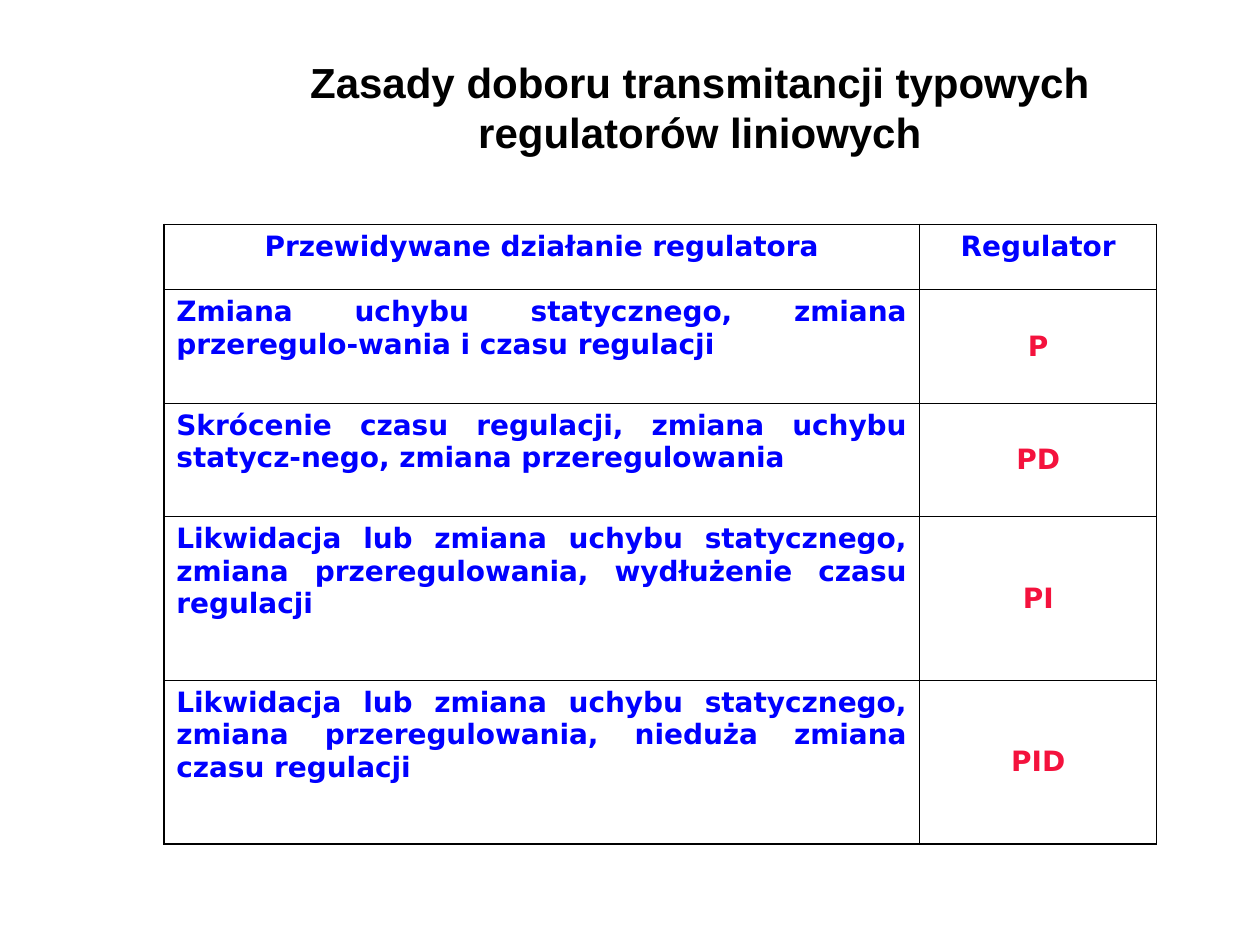
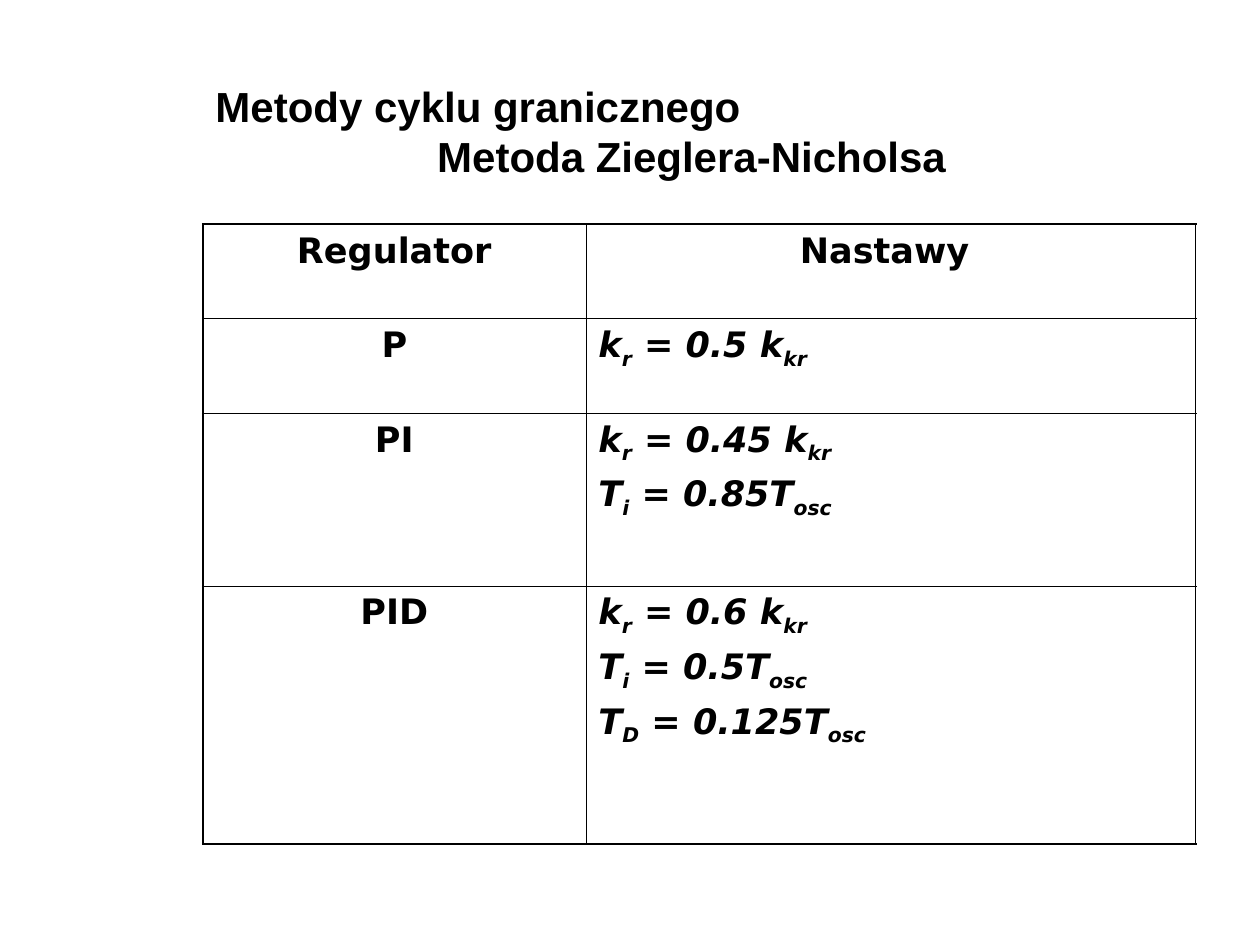
from lxml import etree
from pptx import Presentation
from pptx.dml.color import RGBColor
from pptx.enum.text import MSO_ANCHOR, MSO_AUTO_SIZE, PP_ALIGN
from pptx.oxml.ns import qn
from pptx.util import Inches, Pt

LEFT, CENTER, JUSTIFY = PP_ALIGN.LEFT, PP_ALIGN.CENTER, PP_ALIGN.JUSTIFY
TOP, MIDDLE = MSO_ANCHOR.TOP, MSO_ANCHOR.MIDDLE
BLACK, BLUE, RED = "000000", "0000FF", "F4123D"
TITLE_FONT, TABLE_FONT = "Arial", "DejaVu Sans"
TITLE_BOX = [Inches(n) for n in (1.61, 0.52, 7.89, 1.03)]
TABLE_TOP = Inches(1.78)
INNER_LINE = 0.45


def write(para, text, *, size, font=TABLE_FONT, color=BLACK, align=LEFT,
          italic=False, before=0):
    """Fill a paragraph; every second part between bars is a subscript."""
    para.alignment = align
    para.space_before = Pt(before)
    for index, part in enumerate(text.split("|")):
        span = para.add_run()
        span.text = part
        span.font.name = font
        span.font.size = Pt(size)
        span.font.bold = True
        span.font.italic = italic
        span.font.color.rgb = RGBColor.from_string(color)
        if index % 2:
            span.font._element.set("baseline", "-25000")


def add_border(cell, side, width):
    line = etree.SubElement(cell._tc.get_or_add_tcPr(), qn(f"a:ln{side}"),
                            w=str(Pt(width)))
    fill = etree.SubElement(line, qn("a:solidFill"))
    etree.SubElement(fill, qn("a:srgbClr"), val=BLACK)


# Content: formats are listed per column, for the header and for the body
pages = [
    dict(
        title=["Zasady doboru transmitancji typowych regulatorów liniowych"],
        title_align=CENTER, title_insets=(0, 0.38), title_indent=0,
        left=1.3, columns=(6, 1.88), rows=(0.52, 0.9, 0.9, 1.3, 1.3),
        outer_line=0.96, size=16, before=0,
        header=dict(color=BLUE, align=CENTER),
        body=(dict(color=BLUE, align=JUSTIFY), dict(color=RED, align=CENTER)),
        anchors=(TOP, MIDDLE),
        cells=[
            ("Przewidywane działanie regulatora", "Regulator"),
            ("Zmiana uchybu statycznego, zmiana przeregulo-wania "
             "i czasu regulacji", "P"),
            ("Skrócenie czasu regulacji, zmiana uchybu statycz-nego, "
             "zmiana przeregulowania", "PD"),
            ("Likwidacja lub zmiana uchybu statycznego, zmiana "
             "przeregulowania, wydłużenie czasu regulacji", "PI"),
            ("Likwidacja lub zmiana uchybu statycznego, zmiana "
             "przeregulowania, nieduża zmiana czasu regulacji", "PID"),
        ]),
    dict(
        title=["Metody cyklu granicznego", "Metoda Zieglera-Nicholsa"],
        title_align=LEFT, title_insets=(0.05, 0.05), title_indent=1.76,
        left=1.61, columns=(3.04, 4.84), rows=(0.75, 0.75, 1.37, 2.05),
        outer_line=1.08, size=20, before=5,
        header=dict(align=CENTER),
        body=(dict(align=CENTER), dict(align=JUSTIFY, italic=True)),
        anchors=(TOP, TOP),
        cells=[
            ("Regulator", "Nastawy "),
            ("P", "k|r| = 0.5 k|kr"),
            ("PI", "k|r| = 0.45 k|kr\nT|i| = 0.85T|osc"),
            ("PID", "k|r| = 0.6 k|kr\nT|i| = 0.5T|osc\nT|D| = 0.125T|osc"),
        ]),
]

deck = Presentation()
deck.slide_width, deck.slide_height = Inches(10), Inches(7.5)
title_only = deck.slide_layouts[5]

for content in pages:
    page = deck.slides.add_slide(title_only)

    # Title
    title = page.shapes.title
    title.left, title.top, title.width, title.height = TITLE_BOX
    frame = title.text_frame
    frame.auto_size = MSO_AUTO_SIZE.NONE
    frame.word_wrap = True
    frame.vertical_anchor = MIDDLE
    frame.margin_top, frame.margin_bottom = map(Inches, content["title_insets"])
    for index, line in enumerate(content["title"]):
        para = frame.add_paragraph() if index else frame.paragraphs[0]
        write(para, line, size=24, font=TITLE_FONT, align=content["title_align"])
        if index:
            para._p.get_or_add_pPr().set("marL", str(Inches(content["title_indent"])))

    # Table grid
    columns, rows = content["columns"], content["rows"]
    table = page.shapes.add_table(
        len(rows), len(columns), Inches(content["left"]), TABLE_TOP,
        Inches(sum(columns)), Inches(sum(rows))).table
    table.first_row = table.horz_banding = False
    for column, width in zip(table.columns, columns):
        column.width = Inches(width)
    for row, height in zip(table.rows, rows):
        row.height = Inches(height)

    # Cells: text, then borders that are heavier on the outside
    for r, texts in enumerate(content["cells"]):
        for c, text in enumerate(texts):
            cell = table.cell(r, c)
            cell.vertical_anchor = content["anchors"][c] if r else TOP
            style = content["body"][c] if r else content["header"]
            for index, line in enumerate(text.split("\n")):
                frame = cell.text_frame
                para = frame.add_paragraph() if index else frame.paragraphs[0]
                write(para, line, size=content["size"],
                      before=content["before"], **style)
            outside = dict(L=c == 0, R=c == len(columns) - 1,
                           T=r == 0, B=r == len(rows) - 1)
            for side, is_outer in outside.items():
                add_border(cell, side,
                           content["outer_line"] if is_outer else INNER_LINE)
            cell.fill.background()

deck.save("out.pptx")
